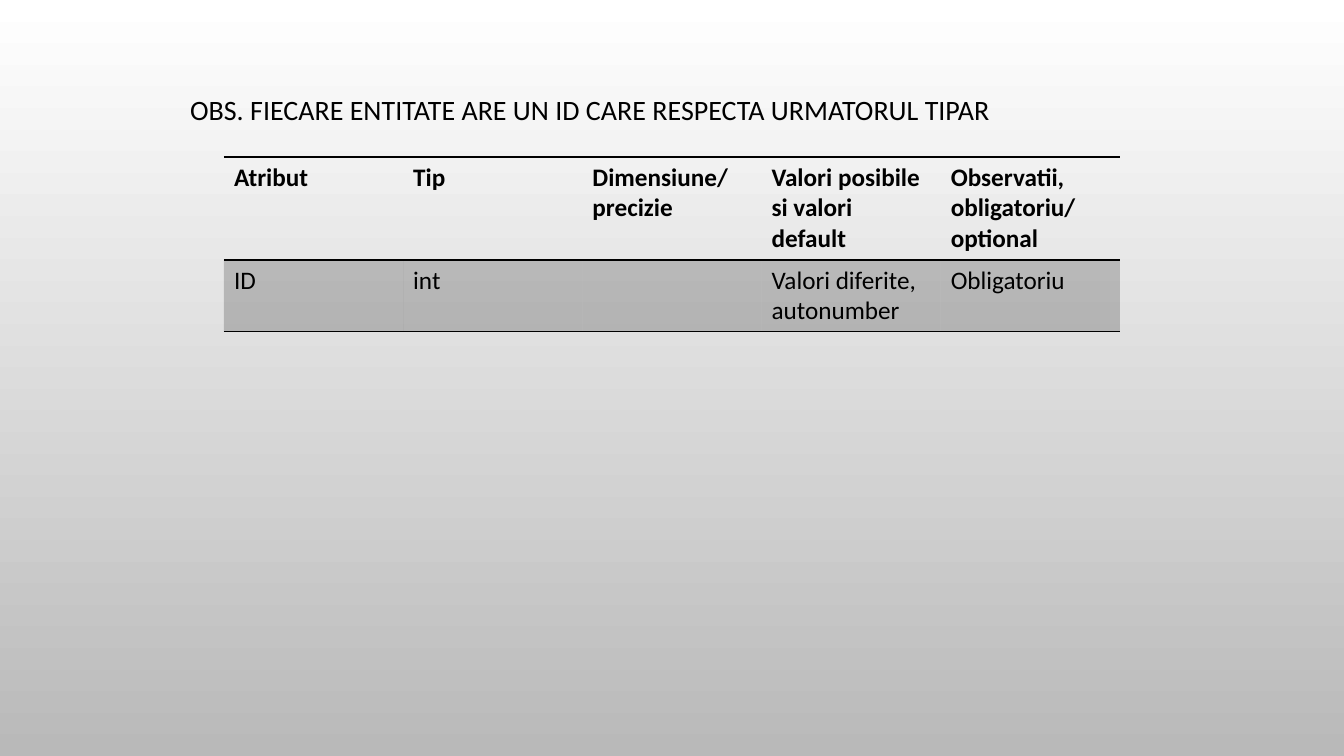
from lxml.etree import SubElement
from pptx import Presentation
from pptx.dml.color import RGBColor
from pptx.enum.text import MSO_ANCHOR, MSO_AUTO_SIZE, PP_ALIGN
from pptx.oxml import parse_xml
from pptx.oxml.ns import nsdecls, qn
from pptx.util import Pt

HEADING = "OBS. FIECARE ENTITATE ARE UN ID CARE RESPECTA URMATORUL TIPAR"
ROWS = [
    ["Atribut", "Tip", "Dimensiune/ precizie",
     "Valori posibile si valori default", "Observatii, obligatoriu/ optional"],
    ["ID", "int", "", "Valori diferite, autonumber", "Obligatoriu"],
]
ROW_HEIGHTS = [103, 71]
HEADING_BOX = (180, 81, 983, 59)
TABLE_BOX = (224, 157, 896, sum(ROW_HEIGHTS))
BACKGROUND = ["FFFFFF", "B9B9B9"]
INK = "000000"
NO_STYLE = "{2D5ABB26-0587-4C30-8999-92F81FD0307C}"


def px(n):
    return round(n * 914400 / 100.8)


def color(hex_code):
    return RGBColor.from_string(hex_code)


def style(p, size, bold=False):
    p.alignment = PP_ALIGN.LEFT
    for name, value in {"name": "Calibri", "size": Pt(size), "bold": bold}.items():
        setattr(p.font, name, value)
    p.font.color.rgb = color(INK)


def add_borders(cell):
    tc_pr = cell._tc.get_or_add_tcPr()
    for i, side in enumerate(("lnT", "lnB")):
        tc_pr.insert(i, parse_xml(
            f'<a:{side} {nsdecls("a")} w="{Pt(1)}"><a:solidFill>'
            f'<a:srgbClr val="{INK}"/></a:solidFill></a:{side}>'))


def shade(cell, percent):
    cell.fill.solid()
    cell.fill.fore_color.rgb = color(INK)
    rgb = cell._tc.tcPr.find(f'{qn("a:solidFill")}/{qn("a:srgbClr")}')
    SubElement(rgb, qn("a:alpha"), val=str(percent * 1000))


prs = Presentation()
prs.slide_width, prs.slide_height = px(1344), px(756)
s = prs.slides.add_slide(prs.slide_layouts[5])

bg = s.background.fill
bg.gradient()
bg.gradient_angle = 270
for stop, hex_code in zip(bg.gradient_stops, BACKGROUND):
    stop.color.rgb = color(hex_code)

title = s.shapes.title
for name, value in zip(("left", "top", "width", "height"), HEADING_BOX):
    setattr(title, name, px(value))
tf = title.text_frame
tf.text = HEADING
for name, value in {"word_wrap": True, "auto_size": MSO_AUTO_SIZE.NONE,
                    "vertical_anchor": MSO_ANCHOR.TOP}.items():
    setattr(tf, name, value)
p = tf.paragraphs[0]
p.line_spacing = 1.2
style(p, 20)

table = s.shapes.add_table(len(ROWS), len(ROWS[0]), *map(px, TABLE_BOX)).table
table.horz_banding = False
table._tbl.tblPr.find(qn("a:tableStyleId")).text = NO_STYLE
for r, (texts, height) in enumerate(zip(ROWS, ROW_HEIGHTS)):
    table.rows[r].height = px(height)
    for c, text in enumerate(texts):
        cell = table.cell(r, c)
        cell.text = text
        style(cell.text_frame.paragraphs[0], 18, bold=r == 0)
        if r == 0:
            cell.fill.background()
        else:
            shade(cell, 20)
        add_borders(cell)

prs.save("out.pptx")
